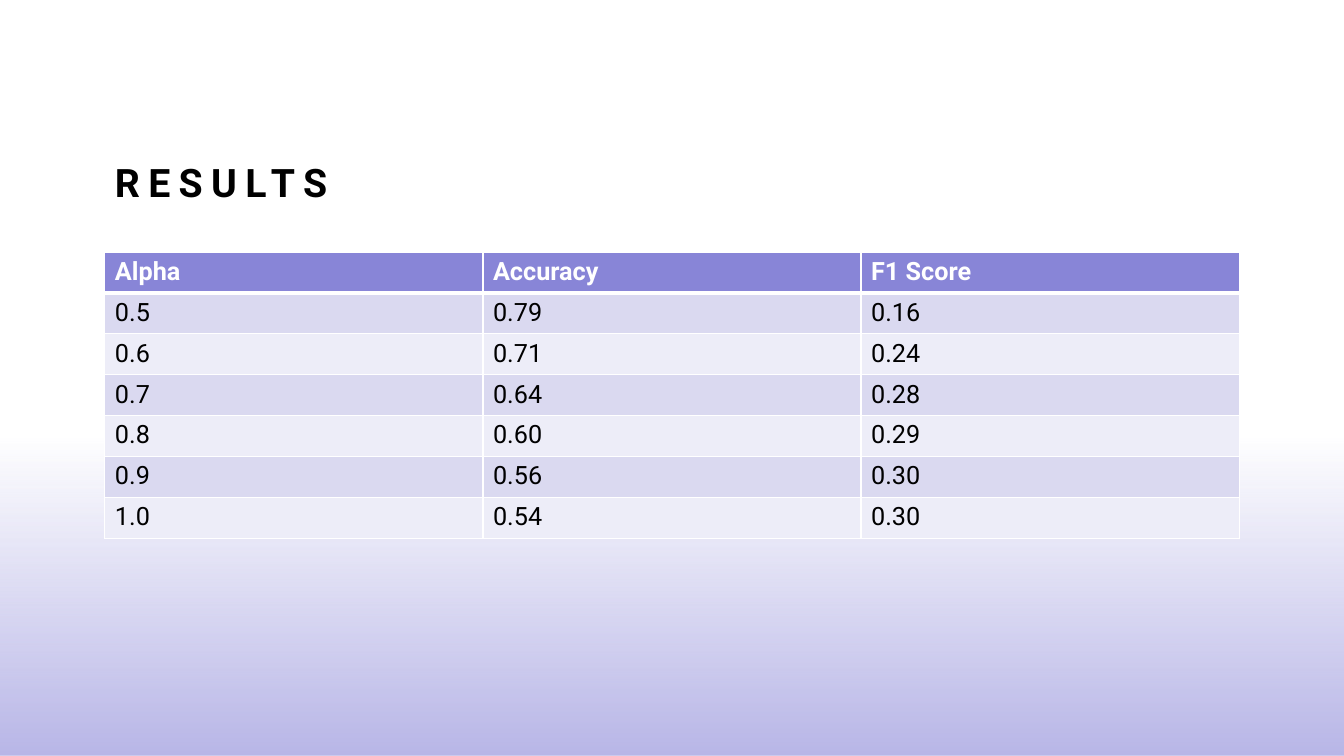
from lxml import etree
from pptx import Presentation
from pptx.dml.color import RGBColor
from pptx.enum.shapes import MSO_SHAPE
from pptx.enum.text import MSO_ANCHOR, MSO_AUTO_SIZE, PP_ALIGN
from pptx.oxml.ns import qn
from pptx.util import Inches, Pt

RECT = MSO_SHAPE.RECTANGLE
BOTTOM = MSO_ANCHOR.BOTTOM
NO_FIT = MSO_AUTO_SIZE.NONE
LEFT = PP_ALIGN.LEFT

TITLE = "RESULTS"
ROWS = [
    ("Alpha", "Accuracy", "F1 Score"),
    ("0.5", "0.79", "0.16"),
    ("0.6", "0.71", "0.24"),
    ("0.7", "0.64", "0.28"),
    ("0.8", "0.60", "0.29"),
    ("0.9", "0.56", "0.30"),
    ("1.0", "0.54", "0.30"),
]
COLORS = {"header": "8885D7", "odd": "DAD9F0", "even": "EDEDF8",
          "glow": "B8B6E7", "white": "FFFFFF", "black": "000000"}
FONT = "Roboto"
SLIDE_W, SLIDE_H = 13.33, 7.5
MARGIN, CONTENT_W = 1.04, 11.25
TITLE_TOP, TITLE_H = 0.83, 1.26
TABLE_TOP, TABLE_H = 2.5, 2.84
GLOW_TOP = 3.84


def rgb(name):
    return RGBColor.from_string(COLORS[name])


def style(p, size, color, bold):
    for r in p.runs:
        r.font.name = FONT
        r.font.size = Pt(size)
        r.font.bold = bold
        r.font.color.rgb = rgb(color)


def set_borders(cell, widths):
    tcPr = cell._tc.get_or_add_tcPr()
    for i, (side, width) in enumerate(widths.items()):
        ln = etree.Element(qn(f"a:ln{side}"), w=str(Pt(width)))
        fill = etree.SubElement(ln, qn("a:solidFill"))
        etree.SubElement(fill, qn("a:srgbClr"), val=COLORS["white"])
        tcPr.insert(i, ln)


def add_glow(s):
    glow = s.shapes.add_shape(RECT, 0, Inches(GLOW_TOP), Inches(SLIDE_W),
                              Inches(SLIDE_H - GLOW_TOP))
    glow.shadow.inherit = False
    glow.line.fill.background()
    glow.fill.gradient()
    glow.fill.gradient_angle = 270
    for stop, position in zip(glow.fill.gradient_stops, (0.14, 1)):
        stop.color.rgb = rgb("glow")
        stop.position = position
    first = next(glow._element.iter(qn("a:srgbClr")))
    etree.SubElement(first, qn("a:alpha"), val="0")
    s.shapes._spTree.insert(2, glow._element)


def add_title(s):
    title = s.shapes.title
    title.left, title.top = Inches(MARGIN), Inches(TITLE_TOP)
    title.width, title.height = Inches(CONTENT_W), Inches(TITLE_H)
    tf = title.text_frame
    tf.text = TITLE
    tf.word_wrap = True
    tf.auto_size = NO_FIT
    tf.vertical_anchor = BOTTOM
    p = tf.paragraphs[0]
    p.alignment = LEFT
    p.line_spacing = 1.2
    style(p, 28, "black", True)
    p.runs[0].font._element.set("spc", "600")


def add_results(s):
    table = s.shapes.add_table(len(ROWS), len(ROWS[0]), Inches(MARGIN), Inches(TABLE_TOP),
                               Inches(CONTENT_W), Inches(TABLE_H)).table
    for i, row in enumerate(ROWS):
        header = i == 0
        fill = "header" if header else "odd" if i % 2 else "even"
        for j, text in enumerate(row):
            cell = table.cell(i, j)
            cell.text = text
            cell.fill.solid()
            cell.fill.fore_color.rgb = rgb(fill)
            style(cell.text_frame.paragraphs[0], 18, "white" if header else "black", header)
            set_borders(cell, {"L": 1, "R": 1, "T": 3 if i == 1 else 1, "B": 3 if header else 1})


def main():
    prs = Presentation()
    prs.slide_width, prs.slide_height = Inches(SLIDE_W), Inches(SLIDE_H)
    s = prs.slides.add_slide(prs.slide_layouts[5])
    add_glow(s)
    add_title(s)
    add_results(s)
    prs.save("out.pptx")


if __name__ == "__main__":
    main()
